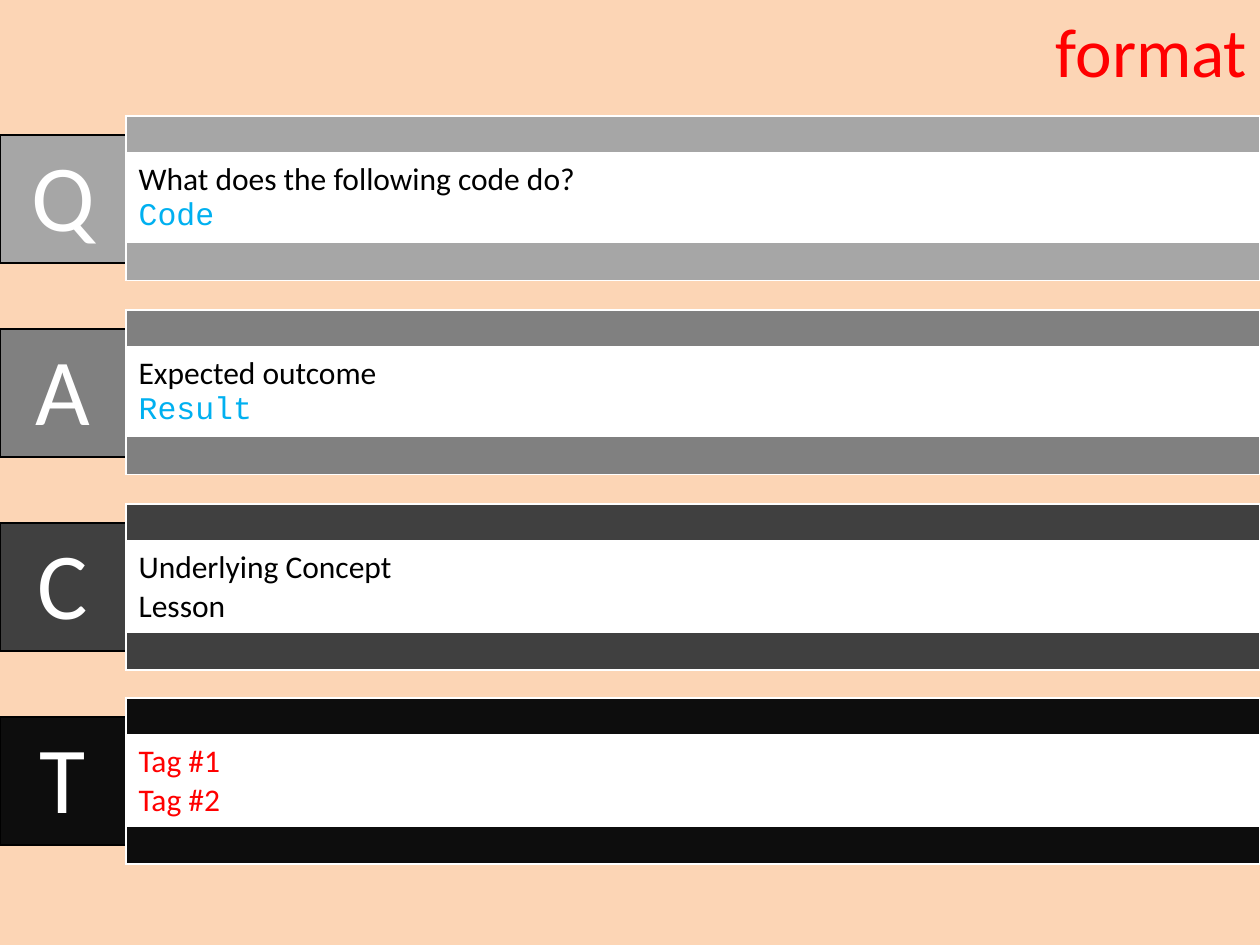
from lxml import etree
from pptx import Presentation
from pptx.dml.color import RGBColor
from pptx.enum.text import MSO_ANCHOR, PP_ALIGN
from pptx.oxml.ns import qn
from pptx.util import Emu, Pt

BLACK, WHITE, RED, BLUE = "000000", "FFFFFF", "FF0000", "00B0F0"
BACKGROUND = "FCD5B5"
SANS, MONO = "Calibri", "Courier New"

TITLE = "format"
# letter, shade, lines of (text, font, colour)
SECTIONS = [
    ("Q", "A6A6A6", [("What does the following code do?", SANS, BLACK), ("Code", MONO, BLUE)]),
    ("A", "808080", [("Expected outcome", SANS, BLACK), ("Result", MONO, BLUE)]),
    ("C", "404040", [("Underlying Concept", SANS, BLACK), ("Lesson", SANS, BLACK)]),
    ("T", "0D0D0D", [("Tag #1", SANS, RED), ("Tag #2", SANS, RED)]),
]

SLIDE_WIDTH, SLIDE_HEIGHT = 1260, 945
BADGE_SIZE = 126
PANEL_TOP, PANEL_PITCH = 116, 194
BADGE_OFFSET = 19
PANEL_ROWS = (38, 88, 38)
BADGE_BORDERS = {"L": (BLACK, 1), "R": (WHITE, 1), "T": (BLACK, 1), "B": (BLACK, 1)}
PANEL_BORDERS = {side: (WHITE, 1) for side in "LRTB"}
HEADER_BORDERS = {**PANEL_BORDERS, "B": (WHITE, 3)}


def px(length):
    return Emu(round(length * 914400 / 126))


def rgb(colour):
    return RGBColor.from_string(colour)


def add_run(paragraph, text, size, font, colour):
    run = paragraph.add_run()
    run.text = text
    run.font.size = Pt(size)
    run.font.name = font
    run.font.color.rgb = rgb(colour)


def style_cell(cell, colour, borders):
    cell.fill.solid()
    cell.fill.fore_color.rgb = rgb(colour)
    properties = cell._tc.get_or_add_tcPr()
    # Border lines must come before the fill, in the order L, R, T, B
    for index, (side, (line_colour, width)) in enumerate(borders.items()):
        line = etree.Element(qn(f"a:ln{side}"), w=str(Pt(width)))
        fill = etree.SubElement(line, qn("a:solidFill"))
        etree.SubElement(fill, qn("a:srgbClr"), val=line_colour)
        properties.insert(index, line)


def add_column(slide, left, top, width, row_heights):
    """Add a one-column table without banding and return its cells."""
    frame = slide.shapes.add_table(
        len(row_heights), 1, px(left), px(top), px(width), px(sum(row_heights)))
    table = frame.table
    table.first_row = table.horz_banding = False
    for row, height in zip(table.rows, row_heights):
        row.height = px(height)
    return [row.cells[0] for row in table.rows]


def add_badge(slide, top, letter, shade):
    [cell] = add_column(slide, 0, top, BADGE_SIZE, [BADGE_SIZE])
    style_cell(cell, shade, BADGE_BORDERS)
    cell.vertical_anchor = MSO_ANCHOR.MIDDLE
    paragraph = cell.text_frame.paragraphs[0]
    paragraph.alignment = PP_ALIGN.CENTER
    add_run(paragraph, letter, 54, SANS, WHITE)


def add_panel(slide, top, shade, lines):
    header, body, footer = add_column(
        slide, BADGE_SIZE, top, SLIDE_WIDTH - BADGE_SIZE, PANEL_ROWS)
    style_cell(header, shade, HEADER_BORDERS)
    style_cell(body, WHITE, PANEL_BORDERS)
    style_cell(footer, shade, PANEL_BORDERS)
    for band in (header, footer):
        # A small text size lets the empty band stay thin
        paragraph = band.text_frame.paragraphs[0]
        etree.SubElement(paragraph._p, qn("a:endParaRPr"), sz="1200")
    for index, (text, font, colour) in enumerate(lines):
        frame = body.text_frame
        paragraph = frame.add_paragraph() if index else frame.paragraphs[0]
        add_run(paragraph, text, 18, font, colour)


def add_title(slide):
    title = slide.shapes.title
    title.left, title.top, title.width, title.height = map(px, (126, 6, 1134, 88))
    title.text_frame.vertical_anchor = MSO_ANCHOR.MIDDLE
    paragraph = title.text_frame.paragraphs[0]
    paragraph.alignment = PP_ALIGN.RIGHT
    add_run(paragraph, TITLE, 39.6, SANS, RED)


def main():
    presentation = Presentation()
    presentation.slide_width, presentation.slide_height = px(SLIDE_WIDTH), px(SLIDE_HEIGHT)
    slide = presentation.slides.add_slide(presentation.slide_layouts.get_by_name("Title Only"))
    slide.background.fill.solid()
    slide.background.fill.fore_color.rgb = rgb(BACKGROUND)
    add_title(slide)
    for index, (letter, shade, lines) in enumerate(SECTIONS):
        top = PANEL_TOP + index * PANEL_PITCH
        add_badge(slide, top + BADGE_OFFSET, letter, shade)
        add_panel(slide, top, shade, lines)
    presentation.save("out.pptx")


if __name__ == "__main__":
    main()
